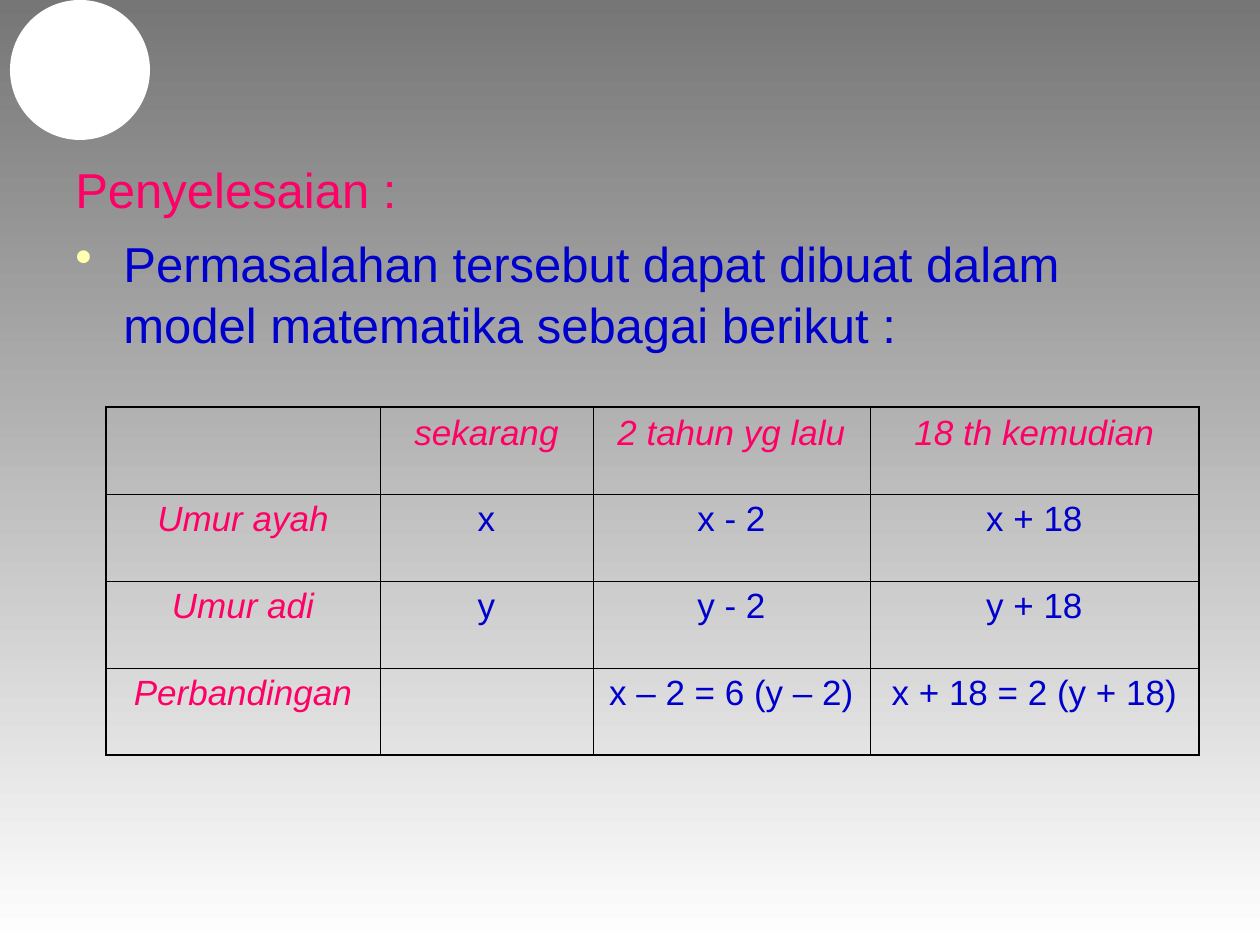
from lxml import etree
from pptx import Presentation
from pptx import util as u
from pptx.dml.color import RGBColor
from pptx.enum import shapes, text
from pptx.oxml import ns

PX = 914400 / 126
COLORS = {
    "top": "767676", "bottom": "FFFFFF", "circle": "FFFFFF", "line": "000000",
    "heading": "FF0066", "body": "0000CC", "bullet": "FFFFAF",
}


def px(*lengths):
    """Turn pixel lengths into EMU."""
    return [u.Emu(round(length * PX)) for length in lengths]


def set_font(paragraph, size, color):
    paragraph.font.name = "Arial"
    paragraph.font.size = u.Pt(size)
    paragraph.font.color.rgb = RGBColor.from_string(COLORS[color])


presentation = Presentation()
presentation.slide_width, presentation.slide_height = px(1260, 945)
slide = presentation.slides.add_slide(presentation.slide_layouts[6])

background = slide.background.fill
background.gradient()
background.gradient_angle = 270
for stop, color in zip(background.gradient_stops, ("top", "bottom")):
    stop.color.rgb = RGBColor.from_string(COLORS[color])

# Heading and bullet
box = slide.shapes.add_textbox(*px(63, 150, 1103, 243))
frame = box.text_frame
frame.word_wrap = True
frame.text = ("Penyelesaian :\n"
              "Permasalahan tersebut dapat dibuat dalam model matematika sebagai berikut :")
heading, bullet = frame.paragraphs
indent, = px(48)
for paragraph, color in ((heading, "heading"), (bullet, "body")):
    properties = paragraph._p.get_or_add_pPr()
    properties.set("marL", str(indent))
    properties.set("indent", str(-indent))
    paragraph.line_spacing = 1.05
    if paragraph is bullet:
        paragraph.space_before = u.Pt(7)
        bullet_color = etree.SubElement(properties, ns.qn("a:buClr"))
        etree.SubElement(bullet_color, ns.qn("a:srgbClr"), val=COLORS["bullet"])
        etree.SubElement(properties, ns.qn("a:buChar"), char="•")
    set_font(paragraph, 28, color)

# Table of ages
ROWS = [
    ["", "sekarang", "2 tahun yg lalu", "18 th kemudian"],
    ["Umur ayah", "x", "x - 2", "x + 18"],
    ["Umur adi", "y", "y - 2", "y + 18"],
    ["Perbandingan", "", "x – 2 = 6 (y – 2)", "x + 18 = 2 (y + 18)"],
]
COLUMN_WIDTHS = [274, 213, 277, 329]
ROW_HEIGHT = 87
last_row, last_column = len(ROWS) - 1, len(COLUMN_WIDTHS) - 1

table = slide.shapes.add_table(
    len(ROWS), len(COLUMN_WIDTHS),
    *px(106, 407, sum(COLUMN_WIDTHS), ROW_HEIGHT * len(ROWS))).table
table.first_row = table.horz_banding = False
for column, width in zip(table.columns, px(*COLUMN_WIDTHS)):
    column.width = width

for r, row in enumerate(ROWS):
    table.rows[r].height, = px(ROW_HEIGHT)
    for c, label in enumerate(row):
        cell = table.cell(r, c)
        cell.text = label
        paragraph = cell.text_frame.paragraphs[0]
        paragraph.alignment = text.PP_ALIGN.CENTER
        is_header = r == 0 or c == 0
        set_font(paragraph, 20, "heading" if is_header else "body")
        paragraph.font.italic = is_header

        outer_edges = {"L": c == 0, "R": c == last_column, "T": r == 0, "B": r == last_row}
        cell_properties = cell._tc.get_or_add_tcPr()
        for side, is_outer in outer_edges.items():
            line = etree.SubElement(cell_properties, ns.qn(f"a:ln{side}"),
                                    w=str(u.Pt(1.08 if is_outer else 0.45)))
            line_fill = etree.SubElement(line, ns.qn("a:solidFill"))
            etree.SubElement(line_fill, ns.qn("a:srgbClr"), val=COLORS["line"])
        cell.fill.background()

# Corner circle
circle = slide.shapes.add_shape(shapes.MSO_SHAPE.OVAL, *px(10, 0, 140, 140))
circle.shadow.inherit = False
circle.fill.solid()
circle.fill.fore_color.rgb = RGBColor.from_string(COLORS["circle"])
circle.line.fill.background()

presentation.save("out.pptx")
